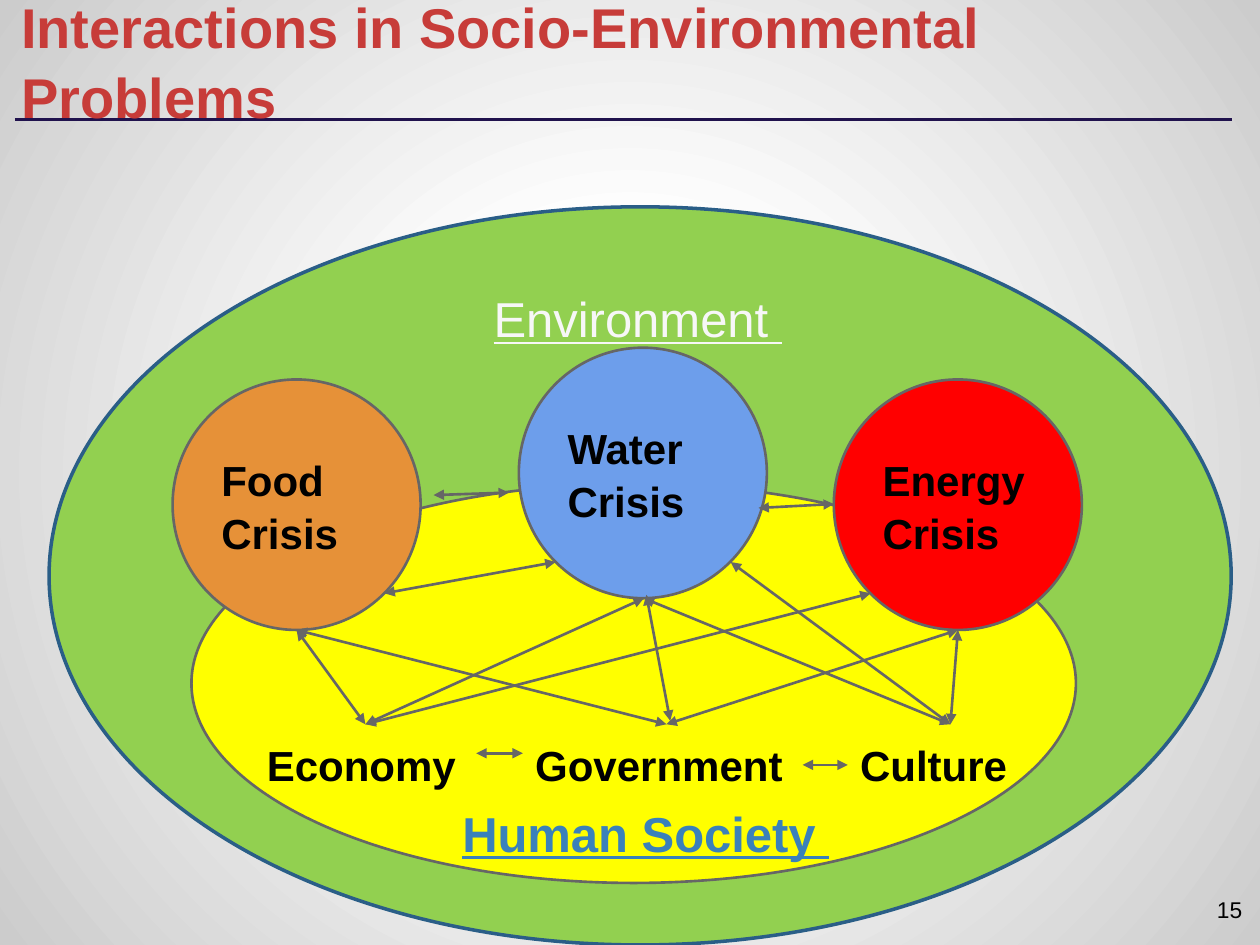
from dataclasses import dataclass
from typing import Optional

from lxml.etree import SubElement
from pptx import Presentation
from pptx.dml.color import RGBColor
from pptx.enum.shapes import MSO_CONNECTOR as CONN, MSO_SHAPE as SHAPE
from pptx.enum.text import MSO_ANCHOR as ANCHOR, PP_ALIGN as ALIGN
from pptx.oxml import parse_xml
from pptx.oxml.ns import nsdecls, qn
from pptx.util import Cm, Pt

BLACK = RGBColor(0x00, 0x00, 0x00)
GRAY = RGBColor(0x66, 0x66, 0x66)
NAVY = RGBColor(0x20, 0x12, 0x4D)
BLUE = RGBColor(0x2A, 0x5E, 0x87)
GREEN = RGBColor(0x92, 0xD0, 0x50)
YELLOW = RGBColor(0xFF, 0xFF, 0x00)
ORANGE = RGBColor(0xE6, 0x91, 0x38)
SKY = RGBColor(0x6D, 0x9E, 0xEB)
RED = RGBColor(0xFF, 0x00, 0x00)
TITLE_RED = RGBColor(0xC7, 0x3C, 0x39)
SOCIETY_BLUE = RGBColor(0x3A, 0x81, 0xBA)
OFF_WHITE = RGBColor(0xF7, 0xF7, 0xF7)

BACKGROUND = f"""<p:bg {nsdecls('p', 'a')}><p:bgPr><a:gradFill rotWithShape="0"><a:gsLst>
<a:gs pos="0"><a:srgbClr val="FFFFFF"/></a:gs>
<a:gs pos="30000"><a:srgbClr val="FFFFFF"/></a:gs>
<a:gs pos="100000"><a:srgbClr val="CCCCCC"/></a:gs></a:gsLst>
<a:path path="circle"><a:fillToRect l="50000" t="50000" r="50000" b="50000"/></a:path>
</a:gradFill><a:effectLst/></p:bgPr></p:bg>"""


@dataclass
class Label:
    text: str
    size: float = 24
    color: RGBColor = BLACK
    bold: bool = True
    underline: bool = False
    align: ALIGN = ALIGN.LEFT
    anchor: ANCHOR = ANCHOR.TOP


@dataclass
class Ellipse:
    left: float
    top: float
    width: float
    height: float
    fill: RGBColor
    line: RGBColor = GRAY
    weight: float = 1.5
    label: Optional[Label] = None


@dataclass
class Box:
    left: float
    top: float
    width: float
    height: float
    label: Label


@dataclass
class Point:
    x: float
    y: float


def write(sp, label: Label) -> None:
    tf = sp.text_frame
    tf.word_wrap = True
    tf.vertical_anchor = label.anchor
    tf.margin_left = tf.margin_top = tf.margin_right = tf.margin_bottom = Cm(0.25)
    p = tf.paragraphs[0]
    p.text = label.text
    p.alignment = label.align
    p.line_spacing = 1.05
    font = p.font
    font.name = "Arial"
    font.size = Pt(label.size)
    font.color.rgb = label.color
    font.bold = label.bold
    font.underline = label.underline


def add_ellipse(s, e: Ellipse) -> None:
    sp = s.shapes.add_shape(SHAPE.OVAL, Cm(e.left), Cm(e.top), Cm(e.width), Cm(e.height))
    sp.shadow.inherit = False
    sp.fill.solid()
    sp.fill.fore_color.rgb = e.fill
    sp.line.color.rgb = e.line
    sp.line.width = Pt(e.weight)
    if e.label:
        write(sp, e.label)


def add_box(s, box: Box):
    sp = s.shapes.add_textbox(Cm(box.left), Cm(box.top), Cm(box.width), Cm(box.height))
    write(sp, box.label)
    return sp


def add_line(s, start: Point, end: Point, color: RGBColor):
    line = s.shapes.add_connector(CONN.STRAIGHT, Cm(start.x), Cm(start.y), Cm(end.x), Cm(end.y))
    line.line.color.rgb = color
    line.line.width = Pt(1.5)
    SubElement(line._element.spPr, qn("a:effectLst"))
    return line


def add_arrow(s, start: Point, end: Point):
    arrow = add_line(s, start, end, GRAY)
    ln = arrow.line._get_or_add_ln()
    for tag in ("a:headEnd", "a:tailEnd"):
        SubElement(ln, qn(tag), type="triangle")
    return arrow


def crisis(name: str, left: float, top: float, fill: RGBColor) -> Ellipse:
    return Ellipse(left, top, 5, 5.05, fill, label=Label(f"{name} Crisis", anchor=ANCHOR.MIDDLE))


ENVIRONMENT = Ellipse(0.99, 4.17, 23.83, 14.88, GREEN, BLUE, 2)
SOCIETY = Ellipse(3.86, 9.75, 17.83, 8.05, YELLOW)
CRISES = [
    crisis("Food", 3.48, 7.65, ORANGE),
    crisis("Water", 10.46, 7.01, SKY),
    crisis("Energy", 16.81, 7.65, RED),
]
TITLE = Box(0.18, 0.58, 24.79, 2.29, Label("Interactions in Socio-Environmental Problems", 32, TITLE_RED,
                                           anchor=ANCHOR.BOTTOM))
SECTORS = [
    Box(left, 14.6, width, 1.17, Label(name))
    for name, left, width in (("Economy", 5.13, 4.47), ("Government", 10.54, 5.79), ("Culture", 17.09, 4.14))
]
CAPTIONS = [
    Box(9.07, 15.88, 9.17, 1.17, Label("Human Society ", 28, SOCIETY_BLUE, underline=True)),
    Box(9.7, 5.51, 7.49, 1.17, Label("Environment ", 28, OFF_WHITE, False, True)),
    Box(23.77, 17.6, 1.52, 1.45, Label("15", 13, bold=False, align=ALIGN.RIGHT, anchor=ANCHOR.MIDDLE)),
]

FOOD_BOTTOM = Point(5.98, 12.7)
WATER_BOTTOM = Point(12.98, 12.06)
ENERGY_BOTTOM = Point(19.31, 12.7)
ENERGY_LOWER_LEFT = Point(17.55, 11.96)
WATER_LOWER_RIGHT = Point(14.73, 11.33)
SECTOR_LINKS = {
    "Economy": [ENERGY_LOWER_LEFT, WATER_BOTTOM, FOOD_BOTTOM],
    "Government": [ENERGY_BOTTOM, FOOD_BOTTOM],
    "Culture": [WATER_BOTTOM, ENERGY_BOTTOM, WATER_LOWER_RIGHT],
}
FREE_ARROWS = [
    (Point(7.75, 11.96), Point(11.2, 11.33)),
    (Point(15.29, 10.24), Point(16.81, 10.16)),
    (Point(13.51, 14.53), Point(13.03, 11.99)),
    (Point(8.74, 9.98), Point(10.26, 9.93)),
    (Point(16.18, 15.42), Point(17.09, 15.42)),
]


def main() -> None:
    prs = Presentation()
    prs.slide_width, prs.slide_height = Cm(25.4), Cm(19.05)
    s = prs.slides.add_slide(prs.slide_layouts[6])
    s._element.cSld.insert(0, parse_xml(BACKGROUND))

    add_line(s, Point(0.3, 2.41), Point(24.84, 2.41), NAVY)
    add_ellipse(s, ENVIRONMENT)
    add_box(s, TITLE)
    for ellipse in [SOCIETY, *CRISES]:
        add_ellipse(s, ellipse)
    sectors = {box.label.text: add_box(s, box) for box in SECTORS}
    for box in CAPTIONS:
        add_box(s, box)

    for name, ends in SECTOR_LINKS.items():
        for end in ends:
            add_arrow(s, end, end).begin_connect(sectors[name], 0)
    between = add_arrow(s, Point(9.6, 15.19), Point(10.54, 15.19))
    between.begin_connect(sectors["Economy"], 3)
    between.end_connect(sectors["Government"], 1)
    for start, end in FREE_ARROWS:
        add_arrow(s, start, end)

    prs.save("out.pptx")


if __name__ == "__main__":
    main()
